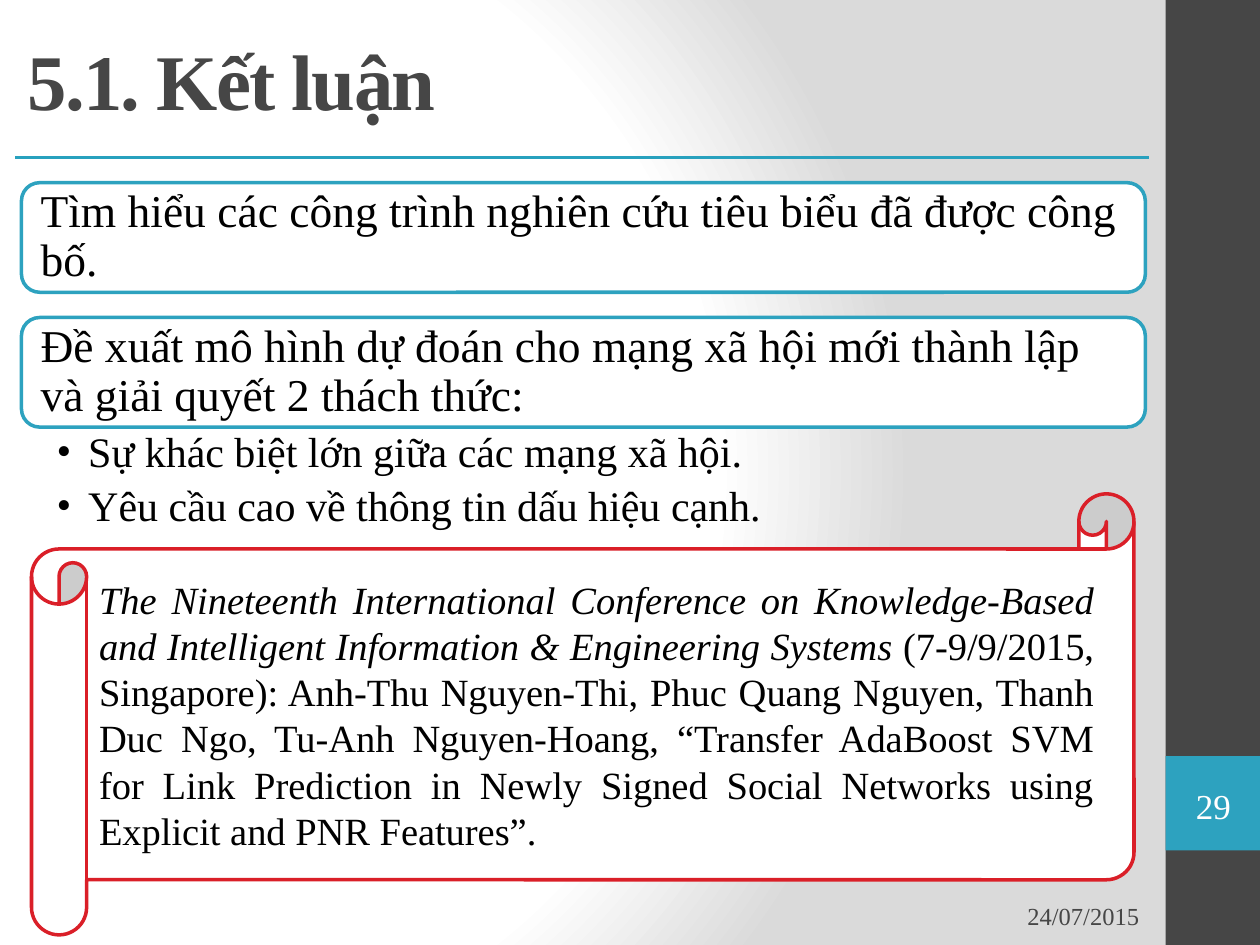
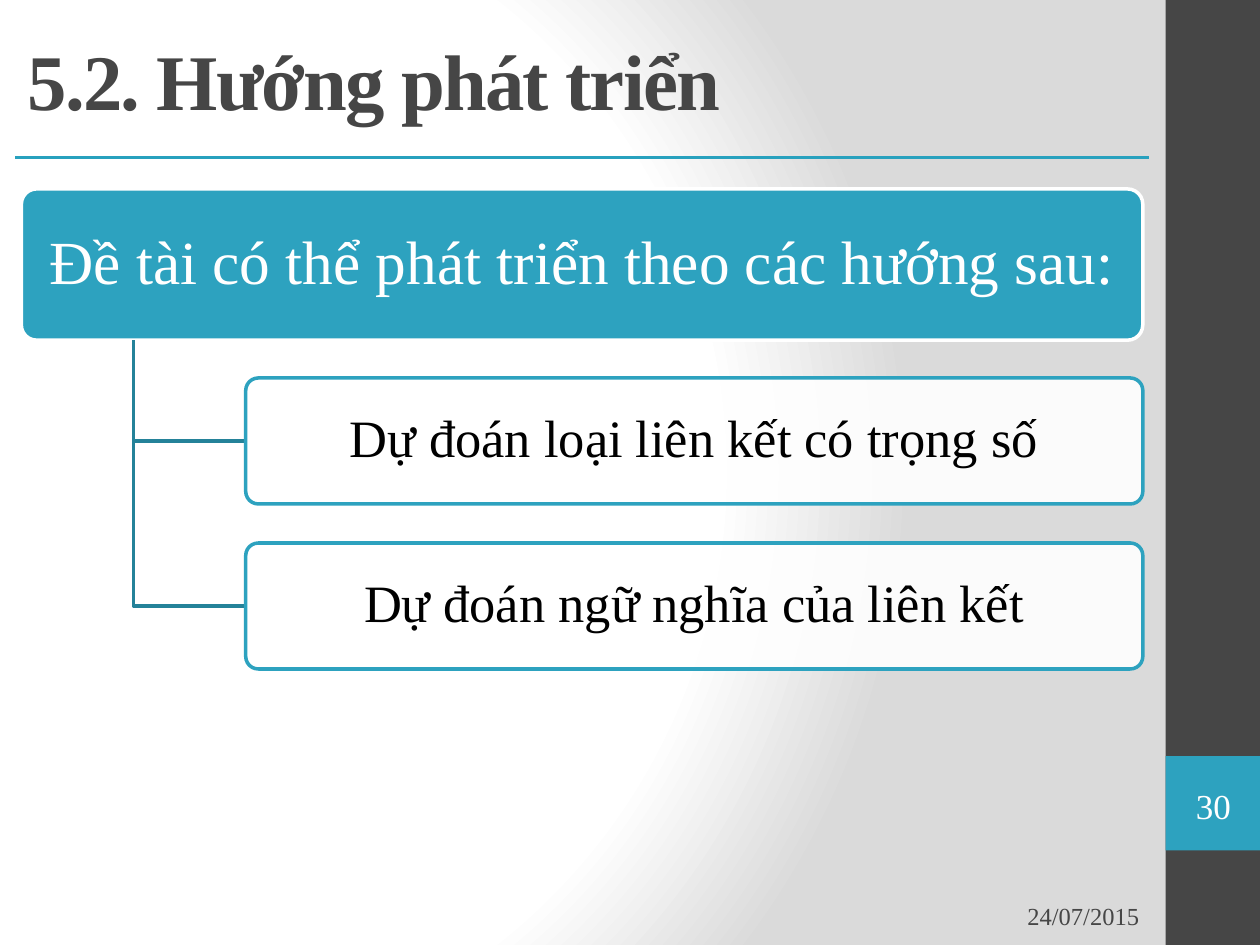
from lxml import etree
from pptx import Presentation
from pptx.dml.color import RGBColor
from pptx.enum import shapes, text
from pptx.oxml import parse_xml
from pptx.oxml.ns import qn
from pptx.util import Inches, Pt

FONT = "Times New Roman"
DATE = "24/07/2015"
DONE = {
    "title": "5.1. Kết luận",
    "page": 29,
    "boxes": [
        "Tìm hiểu các công trình nghiên cứu tiêu biểu đã được công bố.",
        "Đề xuất mô hình dự đoán cho mạng xã hội mới thành lập và giải quyết 2 thách thức:",
    ],
    "points": [
        "Sự khác biệt lớn giữa các mạng xã hội.",
        "Yêu cầu cao về thông tin dấu hiệu cạnh.",
    ],
    "venue": "The Nineteenth International Conference on Knowledge-Based and "
             "Intelligent Information & Engineering Systems ",
    "paper": "(7-9/9/2015, Singapore): Anh-Thu Nguyen-Thi, Phuc Quang Nguyen, "
             "Thanh Duc Ngo, Tu-Anh Nguyen-Hoang, “Transfer AdaBoost SVM for Link "
             "Prediction in Newly Signed Social Networks using Explicit and PNR Features”.",
}
NEXT = {
    "title": "5.2. Hướng phát triển",
    "page": 30,
    "head": "Đề tài có thể phát triển theo các hướng sau:",
    "ways": [
        "Dự đoán loại liên kết có trọng số",
        "Dự đoán ngữ nghĩa của liên kết",
    ],
}

WHITE = RGBColor(0xFF, 0xFF, 0xFF)
BLACK = RGBColor(0, 0, 0)
DARK = RGBColor(0x46, 0x46, 0x46)
TEAL = RGBColor(0x2D, 0xA2, 0xBF)
RULE = RGBColor(0x28, 0xA1, 0xBE)
LINK = RGBColor(0x24, 0x82, 0x99)
RED = RGBColor(0xDA, 0x1F, 0x28)

NS = "http://schemas.openxmlformats.org/drawingml/2006/main"
GLOW = f"""<a:gradFill xmlns:a="{NS}" rotWithShape="1"><a:gsLst>
<a:gs pos="0"><a:srgbClr val="FFFFFF"/></a:gs>
<a:gs pos="75000"><a:srgbClr val="FFFFFF"/></a:gs>
<a:gs pos="100000"><a:srgbClr val="DADADA"/></a:gs></a:gsLst>
<a:path path="circle"><a:fillToRect l="20000" t="50000" r="100000" b="50000"/></a:path>
</a:gradFill>"""

KIND = shapes.MSO_SHAPE
ALIGN = text.PP_ALIGN
ANCHOR = text.MSO_ANCHOR


def write(shape, paras, size, color=BLACK, align=ALIGN.LEFT, anchor=ANCHOR.MIDDLE,
          inset=(0.1, 0.05, 0.1, 0.05), bold=False, space=None, line=None,
          after=0, bullet=False):
    """Fill a shape with paragraphs, each a string or a list of (string, italic)."""
    frame = shape.text_frame
    frame.word_wrap = True
    frame.vertical_anchor = anchor
    for side, gap in zip(("left", "top", "right", "bottom"), inset):
        setattr(frame, f"margin_{side}", Inches(gap))
    for i, item in enumerate(paras):
        para = frame.add_paragraph() if i else frame.paragraphs[0]
        para.alignment = align
        para.space_after = Pt(after)
        if line:
            para.line_spacing = line
        if bullet:
            props = para._p.get_or_add_pPr()
            props.set("marL", str(Inches(0.25)))
            props.set("indent", str(Inches(-0.25)))
            etree.SubElement(props, qn("a:buFont"), typeface=FONT)
            etree.SubElement(props, qn("a:buChar"), char="•")
        for words, slant in [(item, False)] if isinstance(item, str) else item:
            run = para.add_run()
            run.text = words
            font = run.font
            font.name, font.size, font.bold, font.italic = FONT, Pt(size), bold, slant
            font.color.rgb = color
            if space:
                run._r.get_or_add_rPr().set("spc", str(space * 100))


def label(slide, area, paras, size, **style):
    write(slide.shapes.add_textbox(*map(Inches, area)), paras, size, **style)


def block(slide, kind, area, fill, edge=None, adj=None, alpha=None):
    shape = slide.shapes.add_shape(kind, *map(Inches, area))
    shape.shadow.inherit = False
    shape.fill.solid()
    shape.fill.fore_color.rgb = fill
    if edge is None:
        shape.line.fill.background()
    else:
        shape.line.color.rgb = edge
        shape.line.width = Pt(2)
    if adj:
        shape.adjustments[0] = adj
    if alpha:
        tint = shape._element.spPr.find(qn("a:solidFill"))[0]
        etree.SubElement(tint, qn("a:alpha"), val=str(alpha * 1000))
    return shape


def elbow(slide, x, top, right, bottom):
    """Draw an open line that goes down, then right."""
    x, top, right, bottom = map(Inches, (x, top, right, bottom))
    pen = slide.shapes.build_freeform(x, top)
    pen.add_line_segments([(x, bottom), (right, bottom)], close=False)
    shape = pen.convert_to_shape()
    shape.shadow.inherit = False
    shape.fill.background()
    shape.line.color.rgb = LINK
    shape.line.width = Pt(2)


def start(deck, data):
    """Add a slide with the side band, title, rule, date and page number."""
    slide = deck.slides.add_slide(deck.slide_layouts[6])
    block(slide, KIND.RECTANGLE, (9.25, 0, 0.75, 7.5), DARK)
    block(slide, KIND.RECTANGLE, (9.25, 6, 0.75, 0.75), TEAL)
    rule = slide.shapes.add_connector(
        shapes.MSO_CONNECTOR.STRAIGHT, *map(Inches, (0.12, 1.25, 9.12, 1.25)))
    rule.line.color.rgb = RULE
    rule.line.width = Pt(2.25)
    etree.SubElement(rule._element.spPr, qn("a:effectLst"))
    label(slide, (0.12, 0, 9, 1.25), [data["title"]], 45, color=DARK, bold=True, space=-1)
    label(slide, (6.47, 7.07, 2.67, 0.4), [DATE], 14, color=DARK, align=ALIGN.RIGHT)
    label(slide, (9.33, 6.18, 0.6, 0.43), [str(data["page"])], 20, color=WHITE,
          align=ALIGN.CENTER, inset=(0, 0, 0, 0))
    return slide


def show_done(deck):
    slide = start(deck, DONE)
    for i, words in enumerate(DONE["boxes"]):
        box = block(slide, KIND.ROUNDED_RECTANGLE, (0.17, 1.45 + 1.07 * i, 8.92, 0.87),
                    WHITE, TEAL)
        write(box, [words], 26, line=0.9, inset=(0.11,) * 4)
    label(slide, (0.17, 3.39, 8.92, 1.16), DONE["points"], 24, anchor=ANCHOR.TOP,
          inset=(0.28, 0.03, 0.19, 0.03), line=0.9, after=5, bullet=True)
    scroll = block(slide, KIND.HORIZONTAL_SCROLL, (0.25, 3.92, 8.75, 3.5), WHITE, RED)
    write(scroll, [[(DONE["venue"], True), (DONE["paper"], False)]], 22,
          align=ALIGN.JUSTIFY)


def show_next(deck):
    slide = start(deck, NEXT)
    left, top, high = 0.17, 1.5, 1.2
    stem, branch, tall = 1.06, 1.95, 1
    head = block(slide, KIND.ROUNDED_RECTANGLE, (left, top, 8.9, high), TEAL, WHITE, adj=0.1)
    write(head, [NEXT["head"]], 35, color=WHITE, align=ALIGN.CENTER, line=0.9,
          inset=(0.07, 0.05, 0.07, 0.05))
    for i, words in enumerate(NEXT["ways"]):
        y = 3 + 1.31 * i
        elbow(slide, stem, top + high, branch, y + tall / 2)
        box = block(slide, KIND.ROUNDED_RECTANGLE, (branch, y, 7.12, tall), WHITE, TEAL,
                    adj=0.1, alpha=90)
        write(box, [words], 30, align=ALIGN.CENTER, line=0.9,
              inset=(0.06, 0.04, 0.06, 0.04))


def main():
    deck = Presentation()
    deck.slide_width, deck.slide_height = Inches(10), Inches(7.5)
    back = deck.slide_master.background
    back.fill.solid()
    solid = next(deck.slide_master._element.iter(qn("p:bgPr")))[0]
    solid.getparent().replace(solid, parse_xml(GLOW))
    show_done(deck)
    show_next(deck)
    deck.save("out.pptx")


if __name__ == "__main__":
    main()
